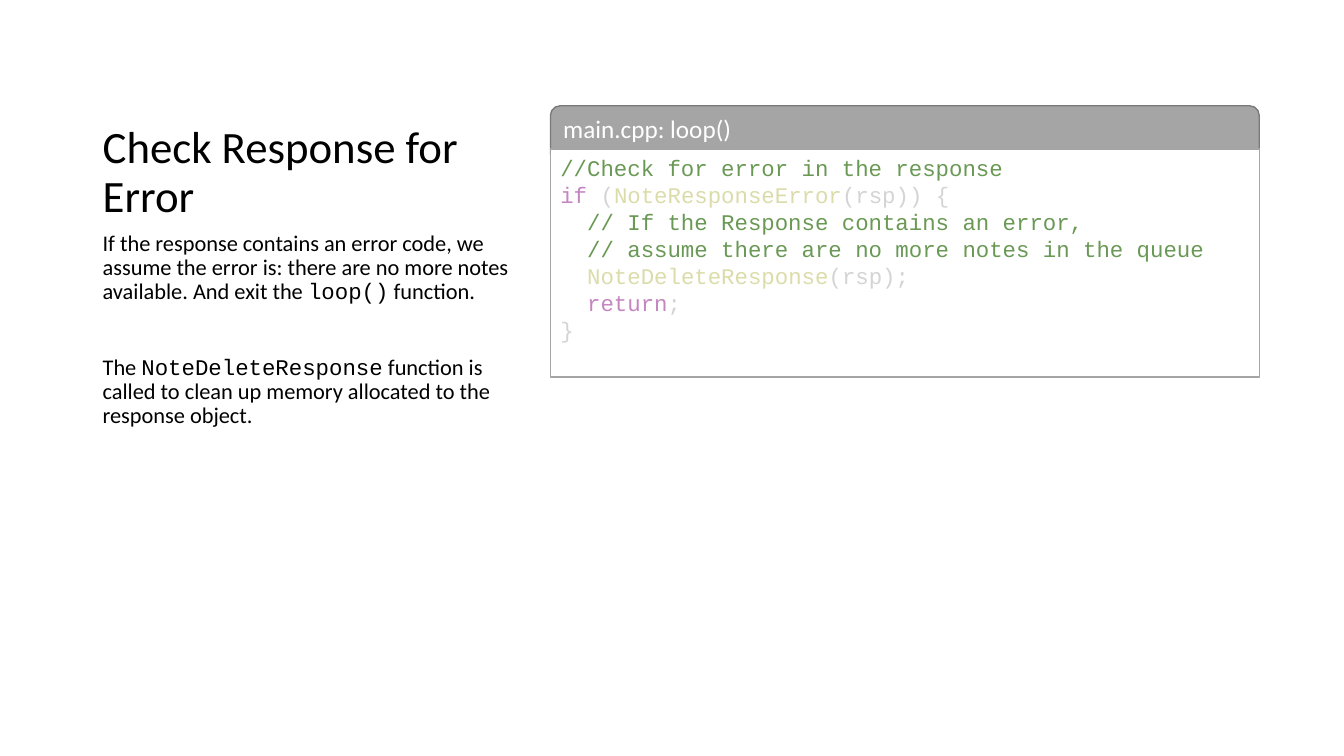
import pptx
import pptx.dml.color
import pptx.enum.shapes
import pptx.enum.text
import pptx.util

Inches = pptx.util.Inches
Pt = pptx.util.Pt
RGBColor = pptx.dml.color.RGBColor
Anchor = pptx.enum.text.MSO_ANCHOR
Align = pptx.enum.text.PP_ALIGN
Shape = pptx.enum.shapes.MSO_SHAPE

BLACK = RGBColor(0x00, 0x00, 0x00)
WHITE = RGBColor(0xFF, 0xFF, 0xFF)
GRAY = RGBColor(0xA5, 0xA5, 0xA5)
DARK_GRAY = RGBColor(0x7A, 0x7A, 0x7A)
COMMENT = RGBColor(0x6A, 0x99, 0x55)
KEYWORD = RGBColor(0xC5, 0x86, 0xC0)
FUNCTION = RGBColor(0xDC, 0xDC, 0xAA)
PLAIN = RGBColor(0xD4, 0xD4, 0xD4)

SANS = "Calibri"
MONO = "Courier New"

TITLE = "Check Response for Error"
EXPLANATION = [
    [("If the response contains an error code, we assume the error is: "
      "there are no more notes available. And exit the ", SANS),
     ("loop()", MONO), (" function.", SANS)],
    [("The ", SANS), ("NoteDeleteResponse", MONO),
     (" function is called to clean up memory allocated to the "
      "response object.", SANS)],
]
CODE = [
    [("//Check for error in the response", COMMENT)],
    [("if", KEYWORD), (" (", PLAIN), ("NoteResponseError", FUNCTION),
     ("(rsp)) {", PLAIN)],
    [("  // If the Response contains an error,", COMMENT)],
    [("  // assume there are no more notes in the queue", COMMENT)],
    [("  ", PLAIN), ("NoteDeleteResponse", FUNCTION), ("(rsp);", PLAIN)],
    [("  ", PLAIN), ("return", KEYWORD), (";", PLAIN)],
    [("}", PLAIN)],
]


def set_all(target, values):
    for name, value in values.items():
        setattr(target, name, value)


def write(frame, paragraphs, anchor, paragraph_format, gap=0):
    """Fill a frame with paragraphs of (text, size, font, color) runs."""
    set_all(frame, {"word_wrap": True, "vertical_anchor": anchor})
    for index, runs in enumerate(paragraphs):
        paragraph = frame.add_paragraph() if index else frame.paragraphs[0]
        set_all(paragraph, {"alignment": Align.LEFT, **paragraph_format})
        if index and gap:
            paragraph.space_before = Pt(gap)
        for text, size, font, color in runs:
            run = paragraph.add_run()
            run.text = text
            set_all(run.font, {"size": Pt(size), "name": font})
            run.font.color.rgb = color


def add_panel(slide, kind, box, fill, line):
    shape = slide.shapes.add_shape(kind, *map(Inches, box))
    shape.shadow.inherit = False
    shape.fill.solid()
    shape.fill.fore_color.rgb = fill
    shape.line.color.rgb = line
    shape.line.width = Pt(1)
    return shape.text_frame


def add_explanation(slide, left, top, width, height):
    title_height = 1.75
    spacing = {"line_spacing": 0.9}

    # Title
    title = slide.shapes.add_textbox(
        *map(Inches, (left, top, width, title_height)))
    write(title.text_frame, [[(TITLE, 32, SANS, BLACK)]],
          Anchor.BOTTOM, spacing)

    # Body text
    body = slide.shapes.add_textbox(
        *map(Inches, (left, top + title_height, width, height - title_height)))
    paragraphs = [[(text, 16, font, BLACK) for text, font in runs]
                  for runs in EXPLANATION]
    write(body.text_frame, paragraphs, Anchor.TOP, spacing, gap=37)


def add_code_listing(slide, left, top, width, height):
    code_offset = 0.43

    # Header, with its lower corners behind the code panel
    header = add_panel(slide, Shape.ROUNDED_RECTANGLE,
                       (left, top, width, 0.57), GRAY, DARK_GRAY)
    write(header, [[("main.cpp: loop()", 18, SANS, WHITE)]], Anchor.TOP, {})

    # Code panel
    panel = add_panel(slide, Shape.RECTANGLE,
                      (left, top + code_offset, width, height - code_offset),
                      WHITE, GRAY)
    lines = [[(text, 16, MONO, color) for text, color in runs]
             for runs in CODE]
    write(panel, lines, Anchor.TOP, {"line_spacing": Pt(19.3)})


def main():
    presentation = pptx.Presentation()
    set_all(presentation, {"slide_width": Inches(13.33),
                           "slide_height": Inches(7.5)})
    slide = presentation.slides.add_slide(presentation.slide_layouts[6])
    add_explanation(slide, 0.92, 0.5, 4.3, 5.92)
    add_code_listing(slide, 5.46, 1.05, 7.03, 2.69)
    presentation.save("out.pptx")


if __name__ == "__main__":
    main()
